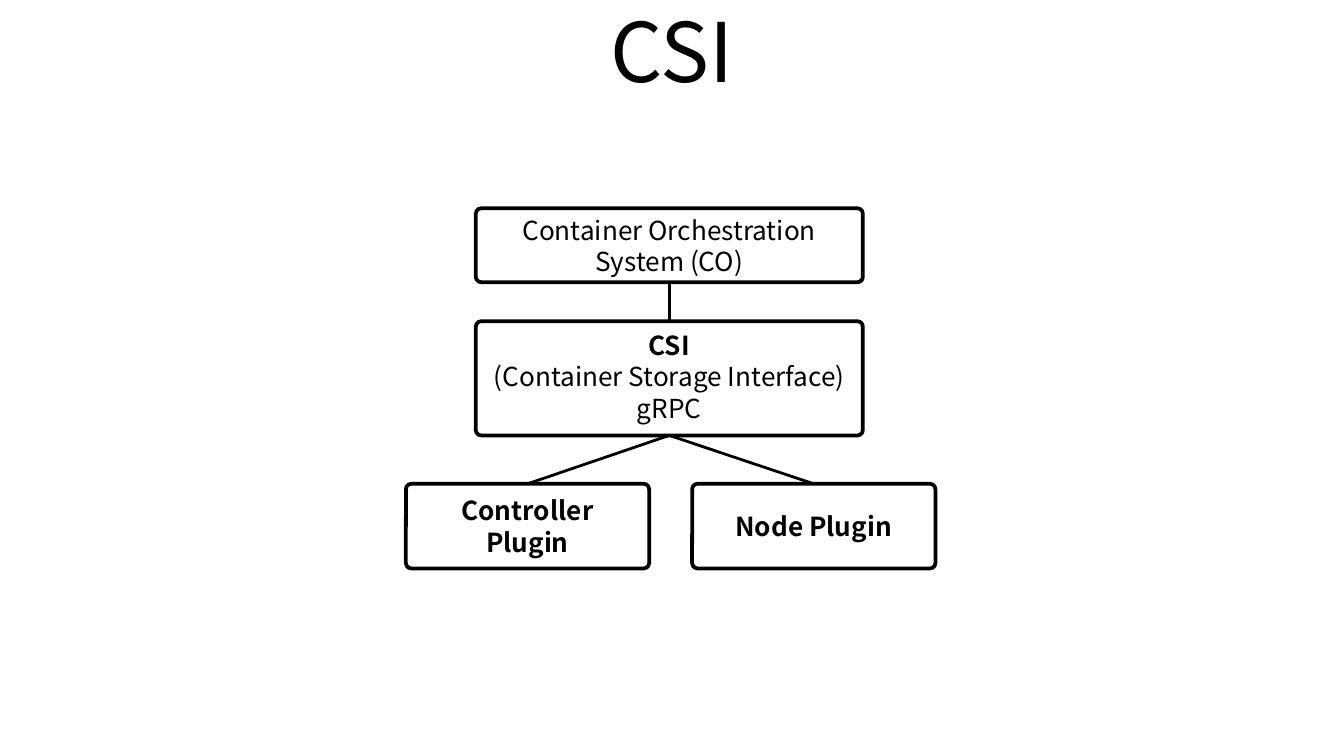
"""Build a slide showing how the Container Storage Interface links its parts."""
from lxml import etree
from pptx import Presentation
from pptx.dml.color import RGBColor
from pptx.enum import shapes, text
from pptx.oxml import ns
from pptx.util import Inches, Pt

THEME = {
    "font": "Noto Sans CJK KR",
    "ink": RGBColor(0, 0, 0),
    "paper": RGBColor(255, 255, 255),
    "title": Pt(44),
    "body": Pt(14),
    "border": Pt(2),
    "link": Pt(1.5),
}
TITLE = "CSI"
CORNER = 0.04
AXIS = 4.98
PLUGIN_GAP = 0.32
PLUGIN_WIDTH = 1.81
PLUGIN_LEFT = 3.02
TOP, MIDDLE = text.MSO_ANCHOR.TOP, text.MSO_ANCHOR.MIDDLE
NODES = {
    "orchestrator": (AXIS - 1.44, 1.55, 2.88, 0.55, MIDDLE, [
        ("Container Orchestration System (CO)", False)]),
    "interface": (AXIS - 1.44, 2.39, 2.88, 0.85, TOP, [
        ("CSI", True), ("(Container Storage Interface)", False), ("gRPC", False)]),
    "controller": (PLUGIN_LEFT, 3.6, PLUGIN_WIDTH, 0.63, MIDDLE, [("Controller Plugin", True)]),
    "node": (PLUGIN_LEFT + PLUGIN_WIDTH + PLUGIN_GAP, 3.6, PLUGIN_WIDTH, 0.63, MIDDLE, [
        ("Node Plugin", True)]),
}
LINKS = [("orchestrator", "interface"), ("interface", "controller"), ("interface", "node")]


def write(shape, lines, size, anchor):
    frame = shape.text_frame
    frame.word_wrap = True
    frame.vertical_anchor = anchor
    frame.text = "\n".join(words for words, _ in lines)
    for para, (_, bold) in zip(frame.paragraphs, lines):
        para.alignment = text.PP_ALIGN.CENTER
        for span in para.runs:
            span.font.name = THEME["font"]
            span.font.size = size
            span.font.bold = bold
            span.font.color.rgb = THEME["ink"]


def add_node(page, left, top, width, height, anchor, lines):
    box = page.shapes.add_shape(
        shapes.MSO_SHAPE.ROUNDED_RECTANGLE, *map(Inches, (left, top, width, height)))
    box.adjustments[0] = CORNER / height
    box.shadow.inherit = False
    box.fill.solid()
    box.fill.fore_color.rgb = THEME["paper"]
    box.line.color.rgb = THEME["ink"]
    box.line.width = THEME["border"]
    write(box, lines, THEME["body"], anchor)
    return box


def add_link(page, upper, lower):
    link = page.shapes.add_connector(shapes.MSO_CONNECTOR.STRAIGHT, 0, 0, 0, 0)
    link.begin_connect(upper, 2)
    link.end_connect(lower, 0)
    link.line.color.rgb = THEME["ink"]
    link.line.width = THEME["link"]
    etree.SubElement(link._element.spPr, ns.qn("a:effectLst"))


def main():
    deck = Presentation()
    deck.slide_width = Inches(10)
    deck.slide_height = deck.slide_width * 9 // 16
    page = deck.slides.add_slide(deck.slide_layouts[6])
    heading = page.shapes.add_textbox(*map(Inches, (0.5, -0.1, 9, 0.94)))
    write(heading, [(TITLE, False)], THEME["title"], MIDDLE)
    boxes = {name: add_node(page, *node) for name, node in NODES.items()}
    for upper, lower in LINKS:
        add_link(page, boxes[upper], boxes[lower])
    deck.save("out.pptx")


if __name__ == "__main__":
    main()
